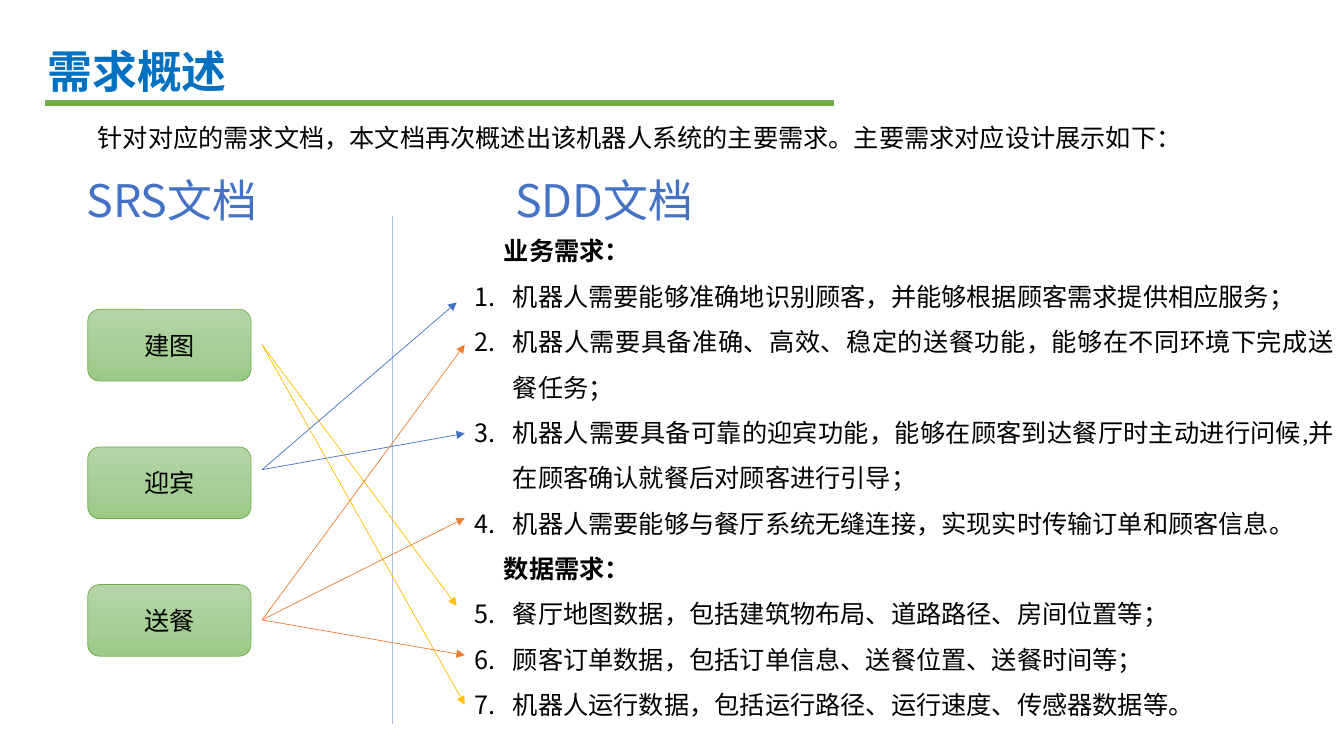
from lxml import etree
from pptx import Presentation
from pptx.dml.color import RGBColor
from pptx.enum.shapes import MSO_CONNECTOR, MSO_SHAPE
from pptx.enum.text import MSO_ANCHOR, PP_ALIGN
from pptx.oxml.ns import qn
from pptx.util import Inches, Pt

LINE = MSO_CONNECTOR.STRAIGHT
RECT, ROUNDED = MSO_SHAPE.RECTANGLE, MSO_SHAPE.ROUNDED_RECTANGLE
TOP, MIDDLE, BOTTOM = MSO_ANCHOR.TOP, MSO_ANCHOR.MIDDLE, MSO_ANCHOR.BOTTOM
LEFT, CENTER, JUSTIFY = PP_ALIGN.LEFT, PP_ALIGN.CENTER, PP_ALIGN.JUSTIFY

SANS, SERIF = "Noto Sans CJK SC", "Times New Roman"
WIDTH, HEIGHT = Inches(13.33), Inches(7.5)
GREEN, BLUE, ORANGE, YELLOW = "70AD47", "4472C4", "ED7D31", "FFC000"

TITLE = {"size": Pt(32), "name": SANS, "bold": True, "color": "0070C0"}
HEADING = {"size": Pt(32), "name": SANS, "color": BLUE}
LABEL = {"size": Pt(18), "name": SANS, "color": "000000"}
BODY = {"size": Pt(18), "name": SERIF, "color": "000000"}
SUBHEAD = {**BODY, "bold": True}

INTRO = "针对对应的需求文档，本文档再次概述出该机器人系统的主要需求。主要需求对应设计展示如下："
REQUIREMENTS = [
    ("业务需求：", [
        "机器人需要能够准确地识别顾客，并能够根据顾客需求提供相应服务；",
        "机器人需要具备准确、高效、稳定的送餐功能，能够在不同环境下完成送餐任务；",
        "机器人需要具备可靠的迎宾功能，能够在顾客到达餐厅时主动进行问候,并在顾客确认就餐后对顾客进行引导；",
        "机器人需要能够与餐厅系统无缝连接，实现实时传输订单和顾客信息。",
    ]),
    ("数据需求：", [
        "餐厅地图数据，包括建筑物布局、道路路径、房间位置等；",
        "顾客订单数据，包括订单信息、送餐位置、送餐时间等；",
        "机器人运行数据，包括运行路径、运行速度、传感器数据等。",
    ]),
]
FEATURES = [
    ("建图", 45.6, YELLOW, [5, 7]),
    ("迎宾", 62.13, BLUE, [1, 3]),
    ("送餐", 82, ORANGE, [2, 4, 6]),
]
TARGETS = {
    1: (33.98, 40), 2: (34.58, 45.6), 3: (34.58, 57.33), 4: (34.58, 68.53),
    5: (33.98, 80.13), 6: (34.58, 86.67), 7: (34.58, 93.2),
}


def rgb(value):
    return RGBColor.from_string(value)


def place(x, y):
    return int(WIDTH * x / 100), int(HEIGHT * y / 100)


def write(p, text, fmt, align=LEFT, spacing=None):
    p.alignment = align
    p.line_spacing = spacing
    r = p.add_run()
    r.text = text
    for key, value in fmt.items():
        if key == "color":
            r.font.color.rgb = rgb(value)
        else:
            setattr(r.font, key, value)
    rPr = r.font._element
    rPr.set("lang", "zh-CN")
    etree.SubElement(rPr, qn("a:ea"), typeface=SANS)


def add_text(slide, x, y, w, h, anchor=TOP):
    tf = slide.shapes.add_textbox(*place(x, y), *place(w, h)).text_frame
    tf.word_wrap = True
    tf.vertical_anchor = anchor
    return tf


def add_block(slide, kind, x, y, w, h, weight):
    s = slide.shapes.add_shape(kind, *place(x, y), *place(w, h))
    s.shadow.inherit = False
    s.line.color.rgb = rgb(GREEN)
    s.line.width = Pt(weight)
    return s


def add_feature(slide, text, row):
    s = add_block(slide, ROUNDED, 6.53, 40.93 + 18.2 * row, 12.15, 9.47, 0.5)
    s.fill.gradient()
    s.fill.gradient_angle = 270
    for stop, color in zip(s.fill.gradient_stops, ("B5D5A7", "9CC987")):
        stop.color.rgb = rgb(color)
    s.text_frame.vertical_anchor = MIDDLE
    write(s.text_frame.paragraphs[0], text, LABEL, CENTER)


def add_line(slide, start, end, color, arrow=False):
    c = slide.shapes.add_connector(LINE, *place(*start), *place(*end))
    c.line.color.rgb = rgb(color)
    c.line.width = Pt(0.5)
    if arrow:
        etree.SubElement(c.line._get_or_add_ln(), qn("a:tailEnd"), type="triangle")
    etree.SubElement(c._element.spPr, qn("a:effectLst"))


def indent(p, margin, first):
    pPr = p._p.get_or_add_pPr()
    pPr.set("marL", str(Inches(margin)))
    pPr.set("indent", str(Inches(first)))
    return pPr


def number(p, start):
    pPr = indent(p, 0.38, -0.38)
    etree.SubElement(pPr, qn("a:buFont"), typeface=SANS)
    etree.SubElement(pPr, qn("a:buAutoNum"), type="arabicPeriod", startAt=str(start))


def add_requirements(slide):
    tf = add_text(slide, 34.58, 28.53, 65.42, 72)
    p, start = tf.paragraphs[0], 1
    for heading, items in REQUIREMENTS:
        write(p, heading, SUBHEAD, JUSTIFY, 1.5)
        indent(p, 0, 0.29)
        for item in items:
            p = tf.add_paragraph()
            write(p, item, BODY, JUSTIFY, 1.5)
            number(p, start)
        start += len(items)
        if start <= len(TARGETS):
            p = tf.add_paragraph()


def main():
    prs = Presentation()
    prs.slide_width, prs.slide_height = WIDTH, HEIGHT
    slide = prs.slides.add_slide(prs.slide_layouts[6])

    title = add_text(slide, 0.98, 2.93, 18.45, 10.67, BOTTOM)
    write(title.paragraphs[0], "需求概述", TITLE, CENTER, 1.5)
    rule = add_block(slide, RECT, 3.38, 13.33, 58.66, 0.67, 1)
    rule.fill.solid()
    rule.fill.fore_color.rgb = rgb(GREEN)
    write(add_text(slide, 6.53, 15.47, 87.62, 8).paragraphs[0], INTRO, BODY)

    add_requirements(slide)
    add_line(slide, (29.18, 28.53), (29.18, 95.73), "ABC0E4")
    for x, text in ((1.8, "SRS文档"), (33.98, "SDD文档")):
        heading = add_text(slide, x, 22.13, 21.98, 8.53)
        write(heading.paragraphs[0], text, HEADING, CENTER)

    for row, (text, y, color, targets) in enumerate(FEATURES):
        add_feature(slide, text, row)
        for target in targets:
            add_line(slide, (19.5, y), TARGETS[target], color, arrow=True)

    prs.save("out.pptx")


if __name__ == "__main__":
    main()
